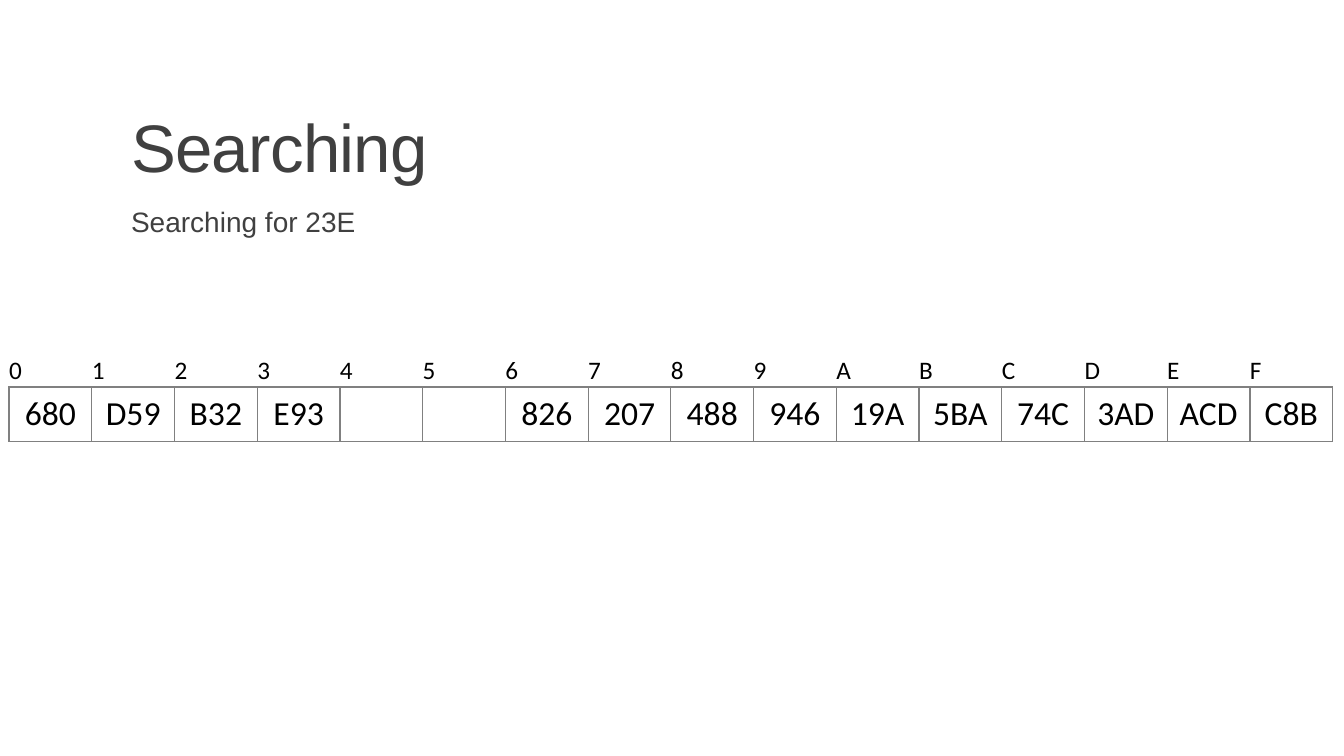
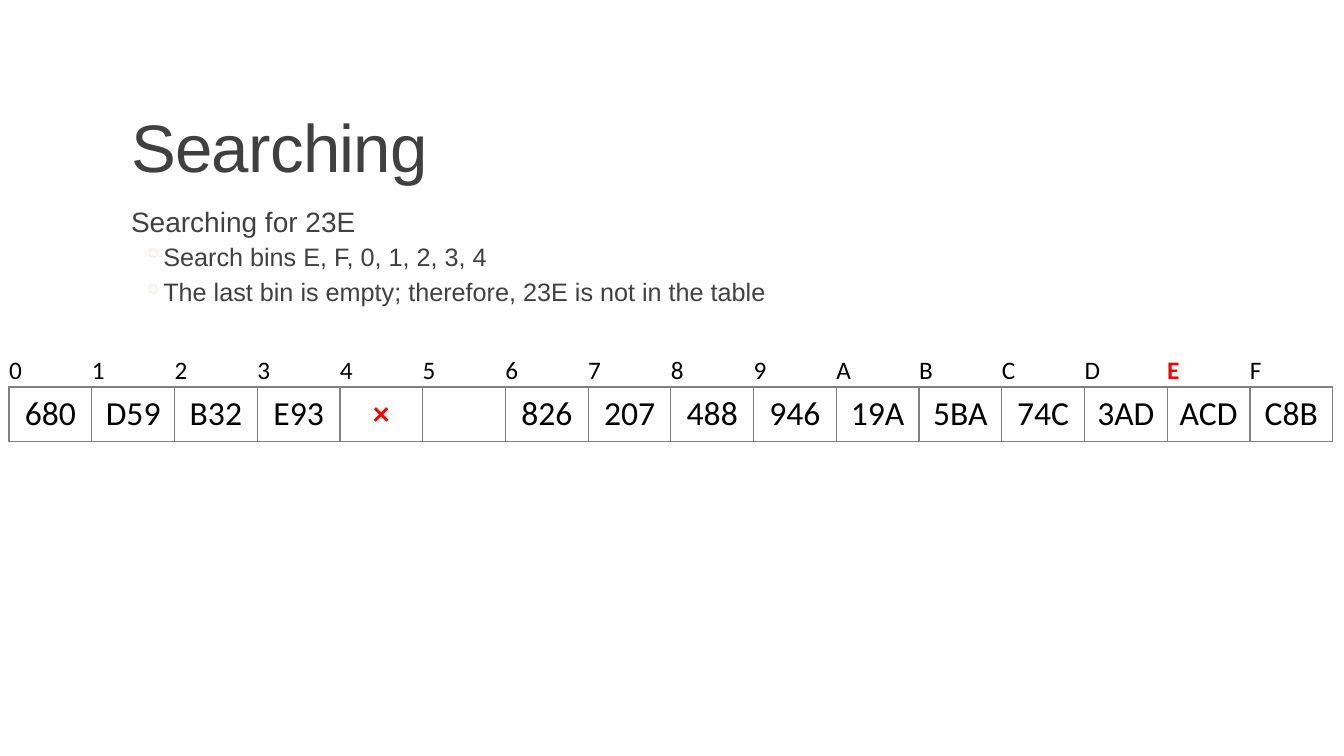
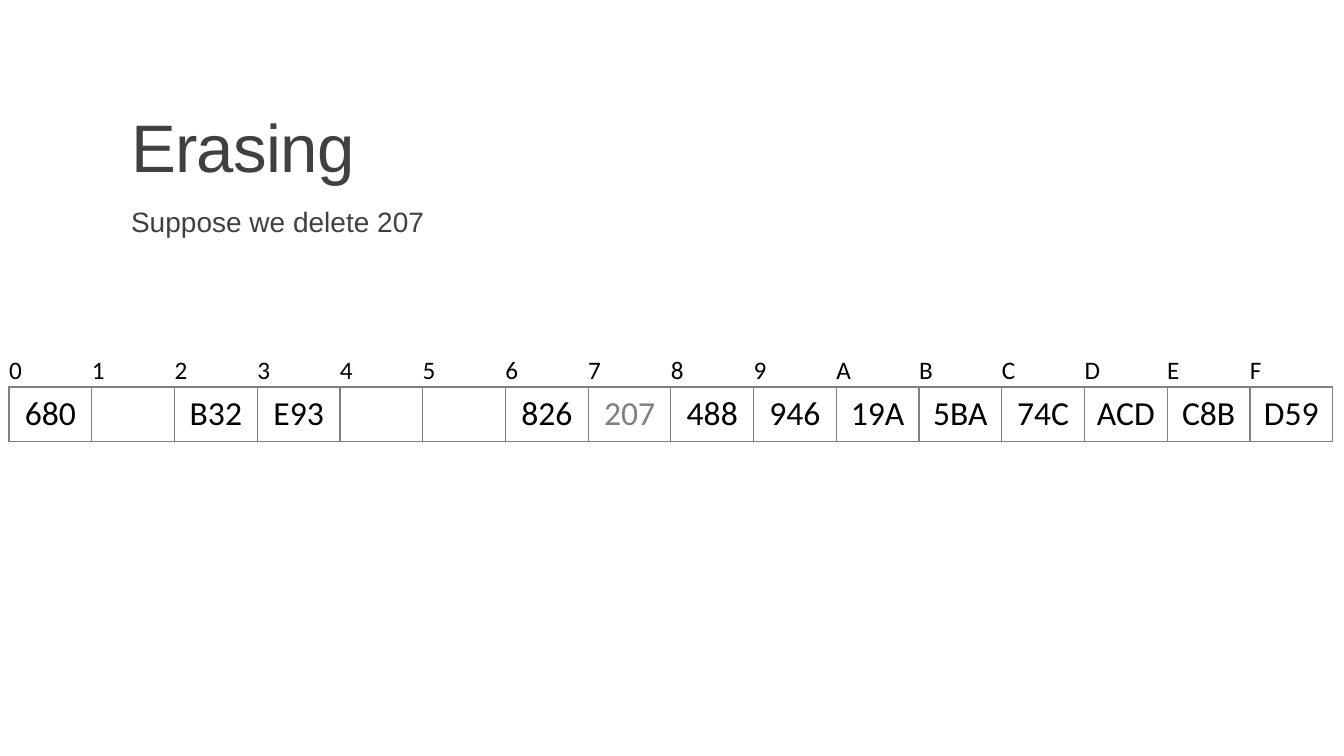
from lxml import etree
from pptx import Presentation, util as u
from pptx.dml.color import RGBColor
from pptx.enum import text
from pptx.oxml.ns import qn

PX = u.Inches(1) // 100
INK = RGBColor(0x40, 0x40, 0x40)
BLACK = RGBColor(0, 0, 0)
GREY = RGBColor(0x80, 0x80, 0x80)
RED = RGBColor(0xFF, 0, 0)
WHITE = RGBColor(0xFF, 0xFF, 0xFF)
BULLET = RGBColor(0xF2, 0xDC, 0xDB)
HEADING_FONT, TABLE_FONT = "Arial", "Calibri"
PLAIN_TABLE = "{2D5ABB26-0587-4C30-8999-92F81FD0307C}"

BINS = "0123456789ABCDEF"
FULL_TABLE = ["680", "D59", "B32", "E93", "", "", "826", "207",
              "488", "946", "19A", "5BA", "74C", "3AD", "ACD", "C8B"]
MISSED_TABLE = FULL_TABLE[:4] + ["×"] + FULL_TABLE[5:]
ERASED_TABLE = ["680", "", "B32", "E93", "", "", "826", "207",
                "488", "946", "19A", "5BA", "74C", "ACD", "C8B", "D59"]


def add_color(parent, color):
    etree.SubElement(parent, qn("a:srgbClr"), val=str(color))


def add_run(p, words, size, font, color, bold=False):
    r = p.add_run()
    r.text = words
    r.font.size, r.font.name, r.font.bold = u.Pt(size), font, bold
    r.font.color.rgb = color
    return r


def add_border(cell, side):
    ln = etree.SubElement(cell._tc.get_or_add_tcPr(), qn("a:ln" + side), w=str(u.Pt(1)))
    add_color(etree.SubElement(ln, qn("a:solidFill")), GREY)


class Deck:
    """The shared style and the slide being built."""

    def __init__(self):
        self.prs = Presentation()
        self.prs.slide_width, self.prs.slide_height = u.Inches(13.33), u.Inches(7.5)
        fill = self.prs.slide_master.background.fill
        fill.solid()
        fill.fore_color.rgb = WHITE

    def slide(self, title):
        self.s = self.prs.slides.add_slide(self.prs.slide_layouts[5])
        sp = self.s.shapes.title
        sp.left, sp.top, sp.width, sp.height = (v * PX for v in (120, 31, 1100, 159))
        tf = sp.text_frame
        tf.auto_size = text.MSO_AUTO_SIZE.NONE
        tf.vertical_anchor = text.MSO_ANCHOR.BOTTOM
        p = tf.paragraphs[0]
        p.alignment, p.line_spacing = text.PP_ALIGN.LEFT, 0.85
        r = add_run(p, title, 48, HEADING_FONT, INK)
        r.font._element.set("spc", "-50")

    def body(self, lead, points=()):
        sp = self.s.shapes.add_textbox(*(v * PX for v in (120, 202, 1100, 440)))
        tf = sp.text_frame
        tf.word_wrap = True
        tf.margin_left = tf.margin_right = 0
        tf.margin_top = tf.margin_bottom = 5 * PX
        self.paragraph(tf.paragraphs[0], lead, 20, 12, 2, 10, 0)
        for point in points:
            p = tf.add_paragraph()
            p.level = 1
            pPr = self.paragraph(p, point, 18, 2, 4, 42, -20)
            add_color(etree.SubElement(pPr, qn("a:buClr")), BULLET)
            etree.SubElement(pPr, qn("a:buChar"), char="◦")

    def paragraph(self, p, words, size, before, after, margin, indent):
        """Fill one body paragraph and return its properties element."""
        p.line_spacing = 0.9
        p.space_before, p.space_after = u.Pt(before), u.Pt(after)
        add_run(p, words, size, HEADING_FONT, INK)
        pPr = p._p.get_or_add_pPr()
        pPr.set("marL", str(margin * PX))
        pPr.set("indent", str(indent * PX))
        return pPr

    def hash_table(self, values, marks=None):
        """Draw bin labels over their values; marks maps a text to (colour, bold)."""
        marks = marks or {}
        frame = self.s.shapes.add_table(
            2, len(BINS), *(v * PX for v in (9, 351, 1313, 87)))
        table = frame.table
        table.first_row = table.horz_banding = False
        table._tbl.tblPr.find(qn("a:tableStyleId")).text = PLAIN_TABLE
        rows = ((BINS, 33, 18, text.PP_ALIGN.LEFT, "B"),
                (values, 54, 24, text.PP_ALIGN.CENTER, "LRTB"))
        for i, (words, height, size, align, sides) in enumerate(rows):
            table.rows[i].height = height * PX
            for cell, word in zip(table.rows[i].cells, words):
                cell.margin_left = cell.margin_right = 0
                cell.margin_top = cell.margin_bottom = 0
                cell.vertical_anchor = text.MSO_ANCHOR.MIDDLE
                for side in sides:
                    add_border(cell, side)
                cell.fill.background()
                if word:
                    p = cell.text_frame.paragraphs[0]
                    p.alignment = align
                    add_run(p, word, size, TABLE_FONT, *marks.get(word, (BLACK, False)))


def main():
    deck = Deck()

    deck.slide("Searching")
    deck.body("Searching for 23E")
    deck.hash_table(FULL_TABLE)

    deck.slide("Searching")
    deck.body("Searching for 23E",
              ["Search bins E, F, 0, 1, 2, 3, 4",
               "The last bin is empty; therefore, 23E is not in the table"])
    deck.hash_table(MISSED_TABLE, {"E": (RED, True), "×": (RED, True)})

    deck.slide("Erasing")
    deck.body("Suppose we delete 207")
    deck.hash_table(ERASED_TABLE, {"207": (GREY, False)})

    deck.prs.save("out.pptx")


if __name__ == "__main__":
    main()
